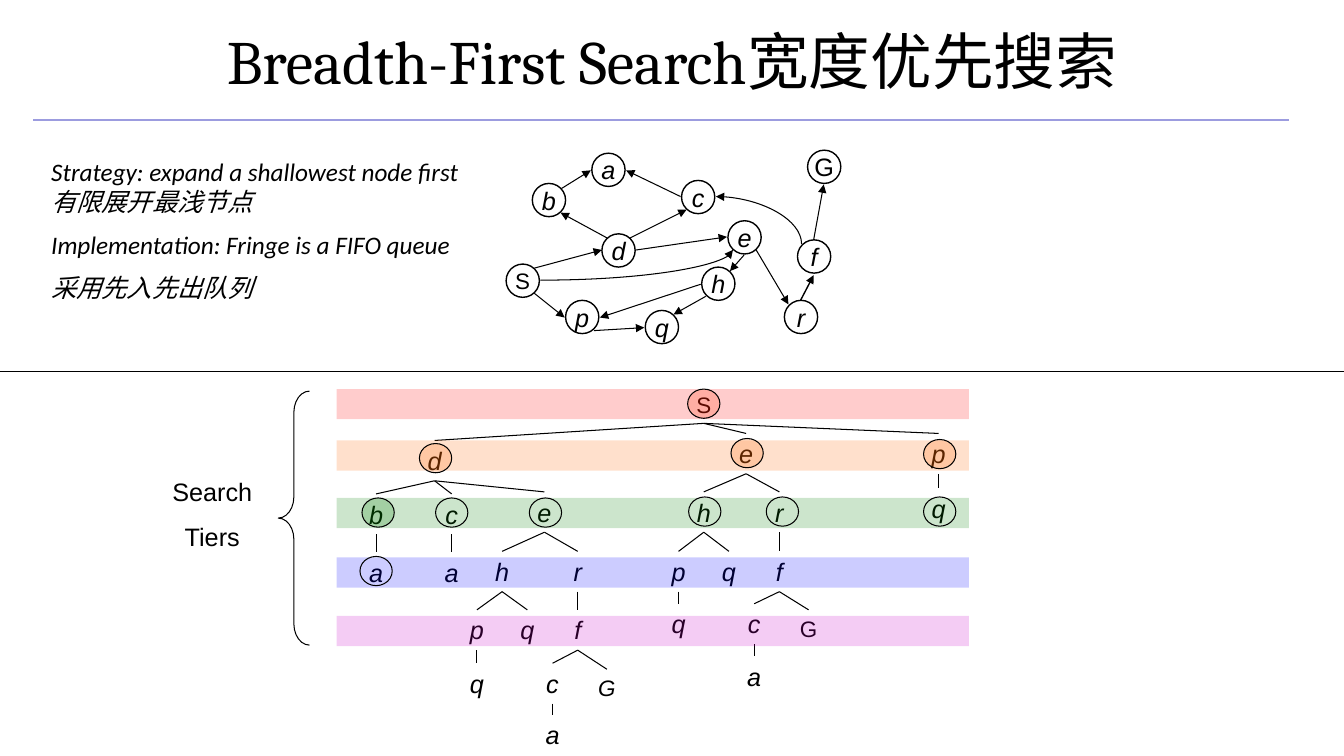
from lxml import etree
from pptx import Presentation
from pptx.dml.color import RGBColor
from pptx.enum.shapes import MSO_CONNECTOR, MSO_SHAPE
from pptx.enum.text import MSO_ANCHOR, PP_ALIGN
from pptx.oxml.ns import qn
from pptx.util import Inches, Pt

STRAIGHT, CURVE = MSO_CONNECTOR.STRAIGHT, MSO_CONNECTOR.CURVE
RECT, OVAL = MSO_SHAPE.RECTANGLE, MSO_SHAPE.OVAL
CIRCLE, BRACE = MSO_SHAPE.FLOWCHART_CONNECTOR, MSO_SHAPE.LEFT_BRACE
LEFT, CENTER, MIDDLE = PP_ALIGN.LEFT, PP_ALIGN.CENTER, MSO_ANCHOR.MIDDLE

COLORS = {"black": "000000", "rule": "9C9CDF", "red": "FF0000", "scarlet": "FF3300",
          "orange": "FF6600", "green": "008000", "blue": "0000FF", "purple": "CC00CC"}
RGB = {name: RGBColor.from_string(value) for name, value in COLORS.items()}

prs = Presentation()
prs.slide_width, prs.slide_height = Inches(13.33), Inches(7.5)
slide = prs.slides.add_slide(prs.slide_layouts[5])
shapes = slide.shapes


def write(frame, lines, size, font="Arial", italic=False, align=CENTER, gap=0):
    for i, line in enumerate(lines):
        paragraph = frame.paragraphs[0] if i == 0 else frame.add_paragraph()
        paragraph.text = line
        paragraph.alignment = align
        if i:
            paragraph.space_before = Pt(gap)
        paragraph.font.name, paragraph.font.size = font, Pt(size)
        paragraph.font.italic = italic
        paragraph.font.color.rgb = RGB["black"]


def connect(x1, y1, x2, y2, width=0.75, color="black", arrow=None, kind=STRAIGHT):
    link = shapes.add_connector(kind, Inches(x1), Inches(y1), Inches(x2), Inches(y2))
    link.line.color.rgb, link.line.width = RGB[color], Pt(width)
    properties = link._element.spPr
    if arrow:
        etree.SubElement(properties.find(qn("a:ln")), qn(arrow), type="triangle")
    if kind == CURVE:
        properties.find(qn("a:prstGeom")).set("prst", "curvedConnector2")
    etree.SubElement(properties, qn("a:effectLst"))


# Title and the rule below it
connect(0.33, 1.19, 12.78, 1.19, 1, "rule")
title = shapes.title
title.left, title.top = Inches(0), Inches(-0.03)
title.width, title.height = Inches(13.33), Inches(1.25)
title.text_frame.vertical_anchor = MIDDLE
write(title.text_frame, ["Breadth-First Search宽度优先搜索"], 44, "Cambria")

# Search tree: each key is the path from S, each value the label's centre and top
tree = {
    "S": (6.98, 3.83), "Sd": (4.31, 4.37), "Se": (7.4, 4.3), "Sp": (9.31, 4.3),
    "Sdb": (3.73, 4.9), "Sdba": (3.73, 5.48), "Sdc": (4.48, 4.9), "Sdca": (4.48, 5.48),
    "Sde": (5.4, 4.88), "Sdeh": (4.98, 5.47), "Sdehp": (4.73, 6.05),
    "Sdehpq": (4.73, 6.58), "Sdehq": (5.23, 6.05), "Sder": (5.73, 5.47),
    "Sderf": (5.73, 6.05), "Sderfc": (5.48, 6.58), "Sderfca": (5.48, 7.09),
    "SderfG": (6.02, 6.64), "Seh": (6.98, 4.88), "Sehp": (6.73, 5.47),
    "Sehpq": (6.73, 5.99), "Sehq": (7.23, 5.47), "Ser": (7.73, 4.88),
    "Serf": (7.73, 5.47), "Serfc": (7.48, 5.99), "Serfca": (7.48, 6.51),
    "SerfG": (8.02, 6.05), "Spq": (9.31, 4.84),
}
for route, (center, top) in tree.items():
    letter, parent = route[-1], route[:-1]
    width, height, size = (0.83, 0.37, 16) if letter in "SG" else (0.42, 0.4, 18)
    label = shapes.add_textbox(Inches(center - width / 2), Inches(top),
                               Inches(width), Inches(height))
    label.text_frame.word_wrap = True
    write(label.text_frame, [letter], size, italic=route not in ("S", "SerfG"))
    if parent:
        parent_center, parent_top = tree[parent]
        parent_bottom = parent_top + (0.37 if parent == "S" else 0.4)
        connect(parent_center, parent_bottom, center, top)

# State graph: nodes
graph = {"S": (5.02, 2.62), "G": (8.01, 1.49), "d": (5.97, 2.32), "b": (5.28, 1.82),
         "p": (5.61, 2.98), "q": (6.4, 3.08), "c": (6.76, 1.79), "e": (7.22, 2.19),
         "h": (6.96, 2.65), "a": (5.87, 1.52), "f": (7.91, 2.38), "r": (7.78, 2.98)}
for letter, (left, top) in graph.items():
    node = shapes.add_shape(CIRCLE, Inches(left), Inches(top), Inches(0.33), Inches(0.33))
    node.shadow.inherit = False
    node.fill.background()
    node.line.color.rgb, node.line.width = RGB["black"], Pt(1)
    node.text_frame.word_wrap = False
    node.text_frame.vertical_anchor = MIDDLE
    write(node.text_frame, [letter], 16 if letter == "S" else 18, italic=letter not in "SG")

# State graph: arrows
for arrow_ends in [
    (5.3, 2.91, 5.6, 3.15), (5.89, 3.28, 6.39, 3.25), (7, 2.94, 6.68, 3.12),
    (6.95, 2.82, 5.95, 3.15), (7.38, 2.53, 7.24, 2.69), (7.5, 2.48, 7.82, 3.02),
    (7.94, 2.98, 8.07, 2.73, 1), (8.07, 2.38, 8.17, 1.83), (5.3, 2.66, 5.97, 2.48),
    (6.02, 2.36, 5.56, 2.11), (5.57, 1.87, 5.86, 1.69), (6.75, 1.95, 6.21, 1.69),
    (6.25, 2.36, 6.81, 2.08), (6.31, 2.48, 7.21, 2.35),
]:
    connect(*arrow_ends, arrow="a:tailEnd")
connect(7.1, 1.95, 7.95, 2.42, arrow="a:headEnd", kind=CURVE)
connect(5.36, 2.78, 7.27, 2.48, arrow="a:tailEnd", kind=CURVE)

# Tier bands, then rings round the visited and queued nodes
bands = [(RECT, 3.34, top, 6.27, 0.3, color) for top, color in [
    (3.86, "red"), (4.37, "orange"), (4.94, "green"), (5.53, "blue"), (6.11, "purple")]]
rings = [(OVAL, left, top, 0.32, 0.29, color) for left, top, color in [
    (6.82, 3.86, "scarlet"), (4.16, 4.4, "orange"), (7.25, 4.35, "orange"),
    (9.16, 4.36, "orange"), (3.59, 4.94, "green"), (4.32, 4.94, None),
    (5.25, 4.94, None), (6.83, 4.93, None), (7.6, 4.93, None),
    (9.16, 4.93, None), (3.57, 5.52, None)]]
for kind, left, top, width, height, color in bands + rings:
    mark = shapes.add_shape(kind, Inches(left), Inches(top), Inches(width), Inches(height))
    mark.shadow.inherit = False
    if color:
        mark.fill.solid()
        mark.fill.fore_color.rgb = RGB[color]
        tint = mark._element.spPr.find(qn("a:solidFill")).find(qn("a:srgbClr"))
        etree.SubElement(tint, qn("a:alpha"), val="20000")
    else:
        mark.fill.background()
    if kind == OVAL:
        mark.line.color.rgb, mark.line.width = RGB["black"], Pt(0.75)
    else:
        mark.line.fill.background()

# Brace and its caption
brace = shapes.add_shape(BRACE, Inches(2.76), Inches(3.88), Inches(0.31), Inches(2.52))
brace.shadow.inherit = False
brace.adjustments[0], brace.adjustments[1] = 0.68, 0.5
brace.fill.background()
brace.line.color.rgb, brace.line.width = RGB["black"], Pt(0.75)
caption = shapes.add_textbox(Inches(1.58), Inches(4.68), Inches(1.05), Inches(0.86))
caption.text_frame.word_wrap = True
write(caption.text_frame, ["Search", "Tiers"], 18, gap=10)

# Divider and strategy text
connect(0, 3.69, 13.33, 3.69)
strategy = shapes.add_textbox(Inches(0.41), Inches(1.5), Inches(4.24), Inches(1.62))
strategy.text_frame.word_wrap = True
write(strategy.text_frame,
      ["Strategy: expand a shallowest node first有限展开最浅节点",
       "Implementation: Fringe is a FIFO queue",
       "采用先入先出队列"],
      18, "Calibri", italic=True, align=LEFT, gap=9)

prs.save("out.pptx")
